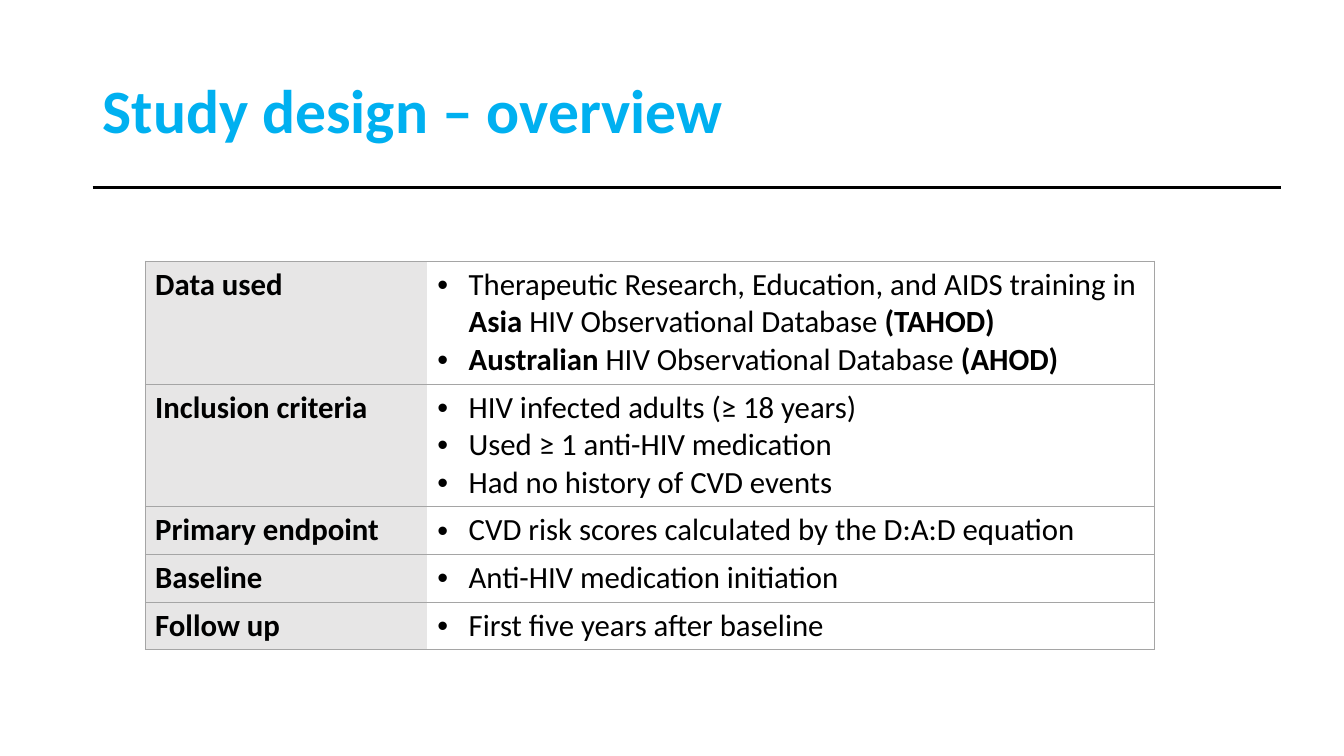
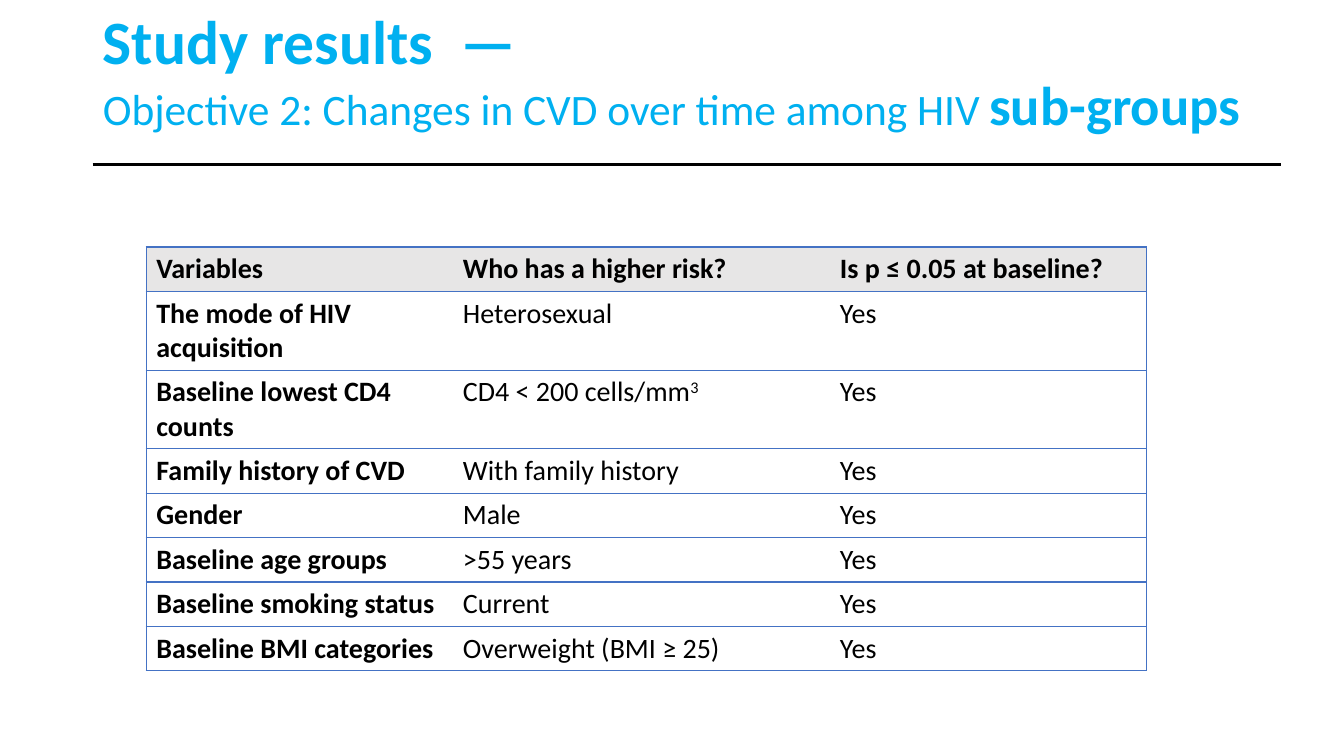
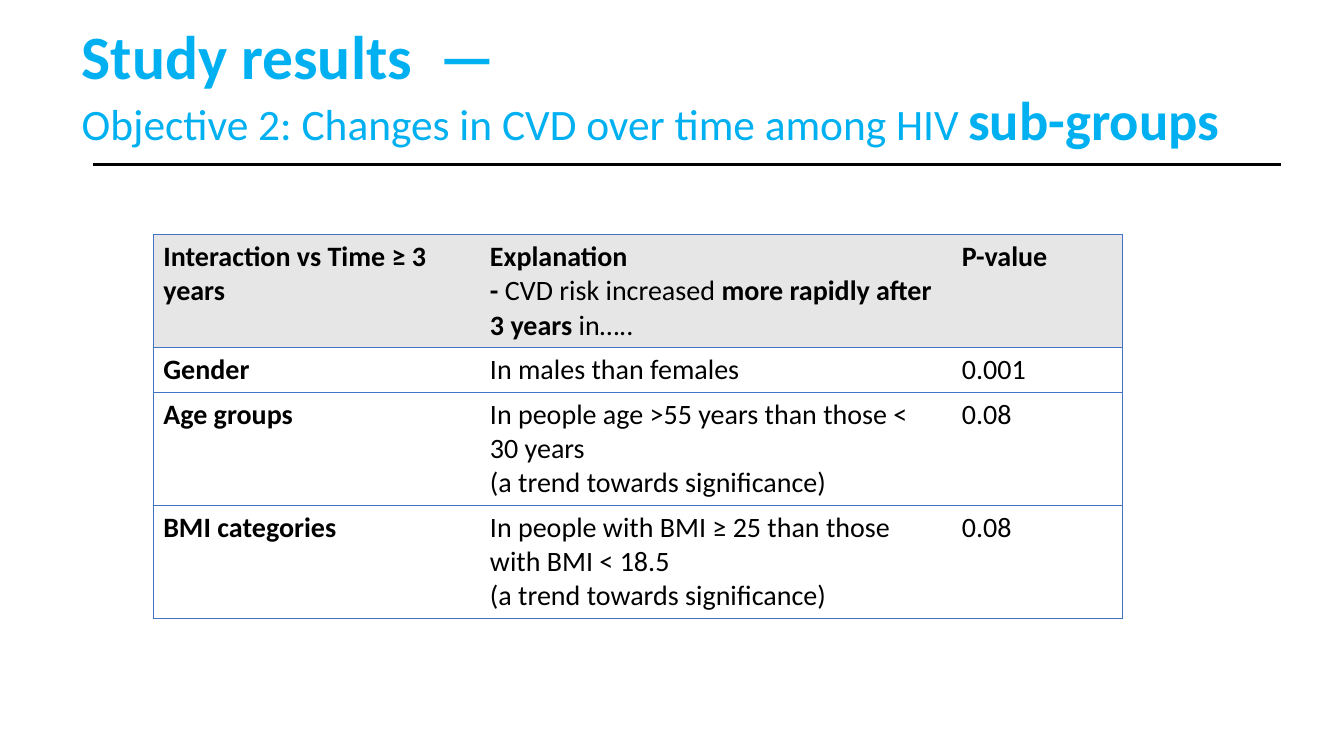
from lxml import etree
from pptx import Presentation
from pptx import util as u
from pptx.dml import color
from pptx.enum import shapes, text
from pptx.oxml import ns

WIDTH, HEIGHT = 13.33, 7.5
COLUMN, ROW = u.Inches(WIDTH) / 100, u.Inches(HEIGHT) / 100
SKY, BLACK, WHITE, SHADE = "00B0F0", "000000", "FFFFFF", "E7E6E6"
GREY, BLUE = "A5A5A5", "4472C4"
PLAIN_TABLE = "{2D5ABB26-0587-4C30-8999-92F81FD0307C}"


def rgb(hex_string):
    return color.RGBColor.from_string(hex_string)


def write(paragraph, words, size=20, ink=BLACK, bold=False, raised=False):
    run = paragraph.add_run()
    run.text = words
    run.font.name = "Calibri"
    run.font.size = u.Pt(size)
    run.font.bold = bold
    run.font.color.rgb = rgb(ink)
    if raised:
        run.font._element.set("baseline", "30000")


results_heading = [
    [("Study results  —", 44, True)],
    [("Objective 2: Changes in CVD over time among HIV ", 31, False), ("sub-groups", 39, True)],
]

# "|" switches bold, "^" raises what follows, "\n" starts a paragraph
pages = [
    dict(
        heading=[[("Study design – overview", 44, True)]],
        heading_box=(6.9, 5.33, 86.27), rule_row=24.8,
        corner=(10.8, 34.53), columns=(21, 54.09), lines=(3, 3, 1, 1, 1),
        size=22, border=GREY, border_width=0.5, header=False, bullets=True,
        cells=[
            ("Data used",
             "Therapeutic Research, Education, and AIDS training in |Asia| HIV Observational Database |(TAHOD)\n"
             "|Australian| HIV Observational Database |(AHOD)"),
            ("Inclusion criteria",
             "HIV infected adults (≥ 18 years)\nUsed ≥ 1 anti-HIV medication\nHad no history of CVD events"),
            ("Primary endpoint", "CVD risk scores calculated by the D:A:D equation"),
            ("Baseline", "Anti-HIV medication initiation"),
            ("Follow up", "First five years after baseline"),
        ],
    ),
    dict(
        heading=results_heading,
        heading_box=(6.9, 0.13, 93.17), rule_row=21.73,
        corner=(10.88, 32.67), columns=(22.81, 28.06, 23.56), lines=(1, 2, 2, 1, 1, 1, 1, 1),
        size=20, border=BLUE, border_width=1, header=True, bullets=False,
        cells=[
            ("Variables", "Who has a higher risk?", "Is p ≤ 0.05 at baseline?"),
            ("The mode of HIV acquisition", "Heterosexual", "Yes"),
            ("Baseline lowest CD4 counts", "CD4 < 200 cells/mm^3", "Yes"),
            ("Family history of CVD", "With family history", "Yes"),
            ("Gender", "Male", "Yes"),
            ("Baseline age groups", ">55 years", "Yes"),
            ("Baseline smoking status", "Current", "Yes"),
            ("Baseline BMI categories", "Overweight (BMI ≥ 25)", "Yes"),
        ],
    ),
    dict(
        heading=results_heading,
        heading_box=(5.33, 2.13, 93.17), rule_row=21.73,
        corner=(11.4, 31.07), columns=(24.31, 35.11, 12.68), lines=(3, 1, 3, 3),
        size=20, border=BLUE, border_width=1, header=True, bullets=False,
        cells=[
            ("Interaction vs Time ≥ 3 years",
             "Explanation\n- |CVD risk increased |more rapidly after 3 years |in…..", "P-value"),
            ("Gender", "In males than females", "0.001"),
            ("Age groups",
             "In people age >55 years than those < 30 years\n(a trend towards significance)", "0.08"),
            ("BMI categories",
             "In people with BMI ≥ 25 than those with BMI < 18.5\n(a trend towards significance)", "0.08"),
        ],
    ),
]

deck = Presentation()
deck.slide_width, deck.slide_height = u.Inches(WIDTH), u.Inches(HEIGHT)

for page in pages:
    slide = deck.slides.add_slide(deck.slide_layouts[5])

    heading = slide.shapes.title
    left, top, width = page["heading_box"]
    heading.left, heading.top = int(left * COLUMN), int(top * ROW)
    heading.width, heading.height = int(width * COLUMN), int(19.33 * ROW)
    frame = heading.text_frame
    frame.word_wrap = True
    frame.auto_size = text.MSO_AUTO_SIZE.NONE
    frame.vertical_anchor = text.MSO_ANCHOR.MIDDLE
    heading_line = frame.paragraphs[0]
    heading_line.alignment = text.PP_ALIGN.LEFT
    heading_line.line_spacing = 0.9
    for number, pieces in enumerate(page["heading"]):
        if number:
            heading_line.add_line_break()
        for words, size, bold in pieces:
            write(heading_line, words, size=size, ink=SKY, bold=bold)

    rule_top = int(page["rule_row"] * ROW)
    rule = slide.shapes.add_connector(
        shapes.MSO_CONNECTOR.STRAIGHT, int(6.9 * COLUMN), rule_top, int(95.35 * COLUMN), rule_top)
    rule.line.color.rgb = rgb(BLACK)
    rule.line.width = u.Pt(2)
    etree.SubElement(rule._element.spPr, ns.qn("a:effectLst"))

    left, top = page["corner"]
    row_heights = [u.Inches(count * page["size"] * 1.22 / 72 + 0.1) for count in page["lines"]]
    last = len(page["columns"]) - 1
    table = slide.shapes.add_table(
        len(row_heights), last + 1, int(left * COLUMN), int(top * ROW),
        int(sum(page["columns"]) * COLUMN), sum(row_heights)).table
    table.first_row = table.horz_banding = False
    table._tbl.tblPr.find(ns.qn("a:tableStyleId")).text = PLAIN_TABLE
    for column, share in zip(table.columns, page["columns"]):
        column.width = int(share * COLUMN)

    for r, entries in enumerate(page["cells"]):
        table.rows[r].height = row_heights[r]
        for c, entry in enumerate(entries):
            cell = table.cell(r, c)
            in_header = page["header"] and r == 0
            strong = in_header or c == 0
            shaded = in_header if page["header"] else c == 0
            cell.fill.solid()
            cell.fill.fore_color.rgb = rgb(SHADE if shaded else WHITE)

            for number, words in enumerate(entry.split("\n")):
                item = cell.text_frame.add_paragraph() if number else cell.text_frame.paragraphs[0]
                if page["bullets"] and c:
                    settings = item._p.get_or_add_pPr()
                    settings.set("marL", str(u.Inches(0.31)))
                    settings.set("indent", str(-u.Inches(0.31)))
                    etree.SubElement(settings, ns.qn("a:buFont")).set("typeface", "Arial")
                    etree.SubElement(settings, ns.qn("a:buChar")).set("char", "•")
                for switch, piece in enumerate(words.split("|")):
                    for level, part in enumerate(piece.split("^")):
                        if part:
                            write(item, part, size=page["size"],
                                  bold=strong != (switch % 2 == 1), raised=level == 1)

            sides = dict(L=c == 0, R=c == last, T=True, B=True)
            for position, (side, drawn) in enumerate(sides.items()):
                edge = etree.Element(ns.qn("a:ln" + side), w=str(u.Pt(page["border_width"])))
                if drawn:
                    ink = etree.SubElement(edge, ns.qn("a:solidFill"))
                    etree.SubElement(ink, ns.qn("a:srgbClr")).set("val", page["border"])
                else:
                    etree.SubElement(edge, ns.qn("a:noFill"))
                cell._tc.get_or_add_tcPr().insert(position, edge)

deck.save("out.pptx")
